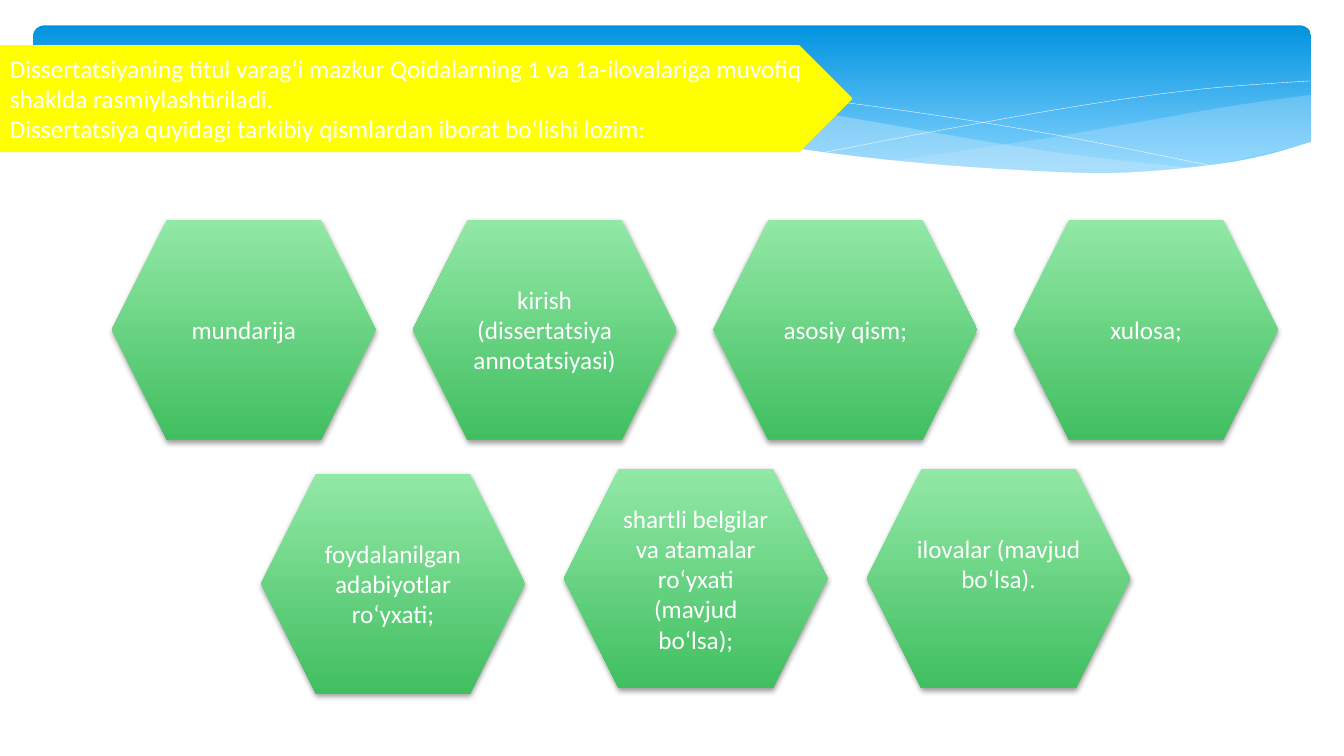
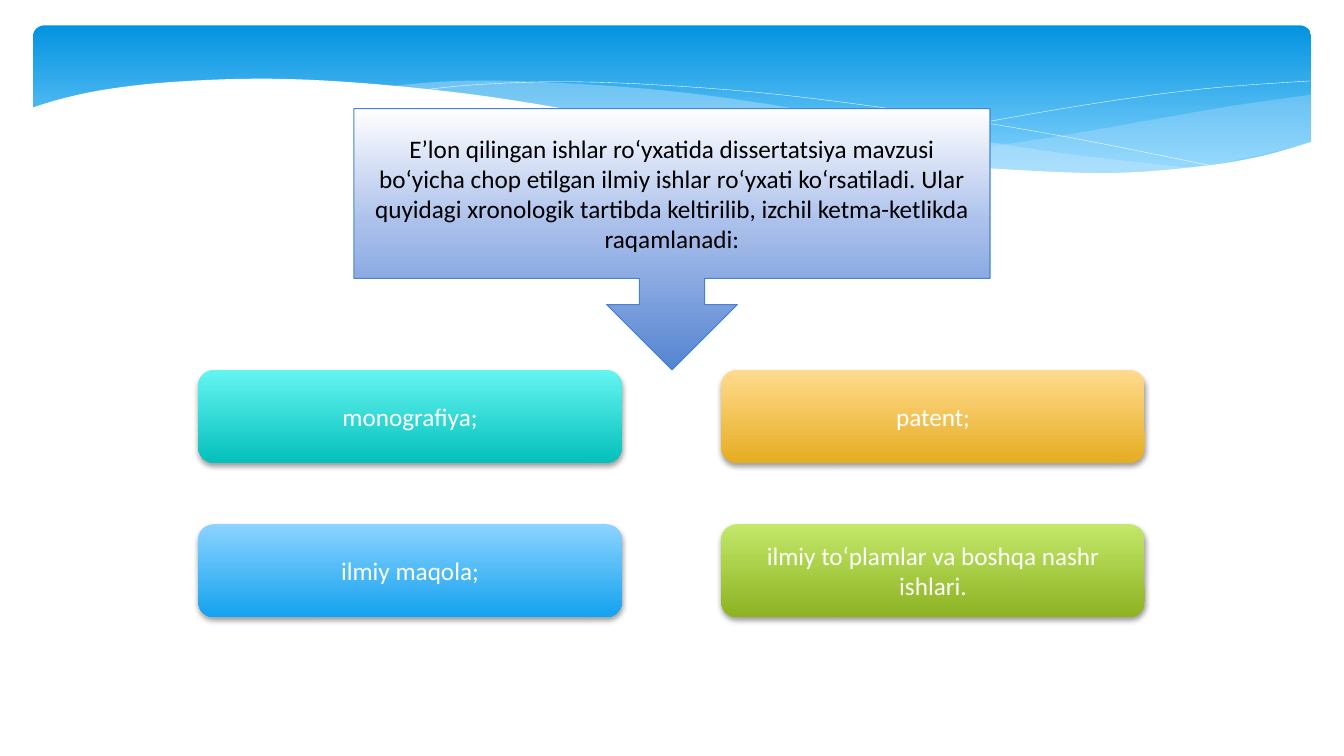
from lxml import etree
from pptx import Presentation
from pptx import util as u
from pptx.dml.color import RGBColor
from pptx.enum import shapes, text
from pptx.oxml import ns

Cm = u.Cm
FONT = "Calibri"
COLORS = {
    "white": "FFFFFF", "black": "000000", "yellow": "FFFF00", "mist": "C6E7FC", "outline": "4584D3",
}
GRADIENTS = {
    "band": [(0, "0293E0"), (90, "83D3FE")],
    "callout": [(0, "FFFFFF"), (44, "ABC0EB"), (100, "5484D1")],
    "green": [(0, "92E8A6"), (100, "41BF60")],
    "teal": [(0, "65F5F1"), (100, "04C0BB")],
    "amber": [(0, "FFDB8E"), (100, "E6AD22")],
    "sky": [(0, "8CD3FF"), (100, "14A2EF")],
    "lime": [(0, "C3E86A"), (100, "8DB222")],
}
BAND_BOX = (0.84, 0.64, 32.2, 3.96)

# Wave edges in cm from the corner of the band; each edge is a smooth curve.
RIGHT_MIST = [
    [(32.21, 1.75), (30.33, 2.01), (28.3, 2.36), (25.53, 2.84), (21.56, 3.43)],
    [(21.56, 3.43), (23.95, 3.63), (26.72, 3.73), (29.29, 3.58), (32.21, 2.97)],
]
LONG_MIST = [
    [(29.39, 3.61), (25.43, 3.15), (20.47, 2.31), (17.48, 1.83), (14.88, 1.55),
     (12.01, 1.4), (10.26, 1.42), (8.86, 1.55)],
    [(8.86, 1.55), (11.43, 1.83), (14.38, 2.31), (18.34, 3), (21.69, 3.45),
     (24.51, 3.68), (26.85, 3.76), (29.39, 3.61)],
]
FALLING_LINE = [
    [(9.63, 1.65), (11.1, 1.5), (13.26, 1.42), (15.72, 1.5), (18.85, 1.75),
     (22.71, 2.26), (26.09, 2.82), (29.9, 3.58)],
]
RISING_LINE = [[(19.94, 3.2), (22.71, 2.67), (26.47, 2.01), (29.49, 1.6), (32.18, 1.4)]]
WHITE_WAVE = [
    [(32.26, 2.92), (31.01, 3.28), (29.59, 3.53), (27.51, 3.71), (25.5, 3.68), (22.48, 3.48),
     (19.58, 3.15), (16.21, 2.62), (14.3, 2.26), (11.51, 1.8), (9.07, 1.52), (6.93, 1.37),
     (5.13, 1.35), (3.18, 1.45), (1.73, 1.63), (0.71, 1.85), (-0.05, 2.08)],
    [(-0.05, 5.05), (32.26, 5.05)],
]


def rgb(name):
    """Return the named colour."""
    return RGBColor.from_string(COLORS[name])


def add_xml(parent, tag, **attributes):
    """Append a drawing element with its attributes."""
    values = {key: str(value) for key, value in attributes.items()}
    return etree.SubElement(parent, ns.qn(f"a:{tag}"), values)


def paint(shape, fill=None, gradient=None, alpha=None, line=None, width=0.25, shadow=False):
    """Set fill, outline and shadow of a shape."""
    shape.shadow.inherit = False
    properties = shape._element.spPr
    if gradient:
        shape.fill.gradient()
        shape.fill.gradient_angle = 270
        stops = properties.find(".//" + ns.qn("a:gsLst"))
        for stop in list(stops):
            stops.remove(stop)
        for position, color in GRADIENTS[gradient]:
            add_xml(add_xml(stops, "gs", pos=position * 1000), "srgbClr", val=color)
    elif fill:
        shape.fill.solid()
        shape.fill.fore_color.rgb = rgb(fill)
        if alpha:
            add_xml(properties.find(".//" + ns.qn("a:srgbClr")), "alpha", val=alpha * 1000)
    else:
        shape.fill.background()
    if line:
        shape.line.color.rgb = rgb(line)
        shape.line.width = u.Pt(width)
    else:
        shape.line.fill.background()
    if shadow:
        outer = add_xml(properties.find(ns.qn("a:effectLst")), "outerShdw", blurRad=u.Pt(4),
                        dist=u.Pt(2), dir=5400000, rotWithShape=0)
        add_xml(add_xml(outer, "srgbClr", val=COLORS["black"]), "alpha", val=38000)


def write(shape, content, size=18, color="white", align="CENTER", bottom=0.13):
    """Write text into a shape, one paragraph a line."""
    frame = shape.text_frame
    frame.word_wrap = True
    frame.vertical_anchor = text.MSO_ANCHOR.MIDDLE
    frame.margin_bottom = Cm(bottom)
    frame.text = content
    for paragraph in frame.paragraphs:
        paragraph.alignment = text.PP_ALIGN[align]
        font = paragraph.font
        font.name, font.size, font.color.rgb = FONT, u.Pt(size), rgb(color)


def add_panel(slide, kind, box, **look):
    """Add a painted preset shape in a box given in cm."""
    panel = slide.shapes.add_shape(shapes.MSO_SHAPE[kind], *map(Cm, box))
    paint(panel, **look)
    return panel


def smooth(knots, steps=5):
    """Return points on a Catmull-Rom curve through the knots."""
    padded = [knots[0], *knots, knots[-1]]
    points = [knots[0]]
    for a, b, c, d in zip(padded, padded[1:], padded[2:], padded[3:]):
        for step in range(1, steps + 1):
            t = step / steps
            points.append(tuple(
                (2 * q + (r - p) * t + (2 * p - 5 * q + 4 * r - s) * t ** 2
                 + (3 * q - p - 3 * r + s) * t ** 3) / 2
                for p, q, r, s in zip(a, b, c, d)))
    return points


def add_wave(slide, box, edges, closed=True, **look):
    """Add an outline of smooth edges, measured from the corner of the box."""
    left, top = box[:2]
    points = [(Cm(left + x), Cm(top + y)) for edge in edges for x, y in smooth(edge)]
    builder = slide.shapes.build_freeform(*points[0])
    builder.add_line_segments(points[1:], close=closed)
    paint(builder.convert_to_shape(), **look)


def add_band(slide, box):
    """Draw the blue band with its waves."""
    band = add_panel(slide, "ROUNDED_RECTANGLE", box, gradient="band")
    band.adjustments[0] = 0.07
    add_wave(slide, box, RIGHT_MIST, fill="mist", alpha=29)
    add_wave(slide, box, LONG_MIST, fill="mist", alpha=40)
    for thread in (FALLING_LINE, RISING_LINE):
        add_wave(slide, box, thread, closed=False, line="white")
    add_wave(slide, box, WHITE_WAVE, fill="white")


def add_heading(slide, box, content):
    """Draw the yellow heading arrow."""
    heading = add_panel(slide, "PENTAGON", box, fill="yellow", line="yellow", width=1.25)
    write(heading, content, align="LEFT")


def add_hexagons(slide, box, parts, pitch):
    """Draw a row of hexagons; each part is a label, a drop and a bottom inset."""
    left, top, width, height = box
    for column, (label, drop, bottom) in enumerate(parts):
        hexagon = add_panel(slide, "HEXAGON", (left + column * pitch, top + drop, width, height),
                            gradient="green", shadow=True)
        write(hexagon, label, bottom=bottom)


def add_callout(slide, box, content):
    """Draw the introduction with its arrow down."""
    callout = add_panel(slide, "DOWN_ARROW_CALLOUT", box, gradient="callout",
                        line="outline", width=0.75)
    write(callout, content, color="black")


def add_works(slide, box, works, size=(10.67, 2.34), columns=2):
    """Spread the kinds of work over a grid that fills the box."""
    left, top, width, height = box
    rows = len(works) // columns
    across = (width - size[0]) / (columns - 1)
    down = (height - size[1]) / (rows - 1)
    for index, (label, gradient) in enumerate(works):
        row, column = divmod(index, columns)
        work = add_panel(slide, "ROUNDED_RECTANGLE",
                         (left + column * across, top + row * down, *size),
                         gradient=gradient, shadow=True)
        write(work, label)


def new_slide(deck):
    """Add a blank slide with the shared band."""
    slide = deck.slides.add_slide(deck.slide_layouts[6])
    add_band(slide, BAND_BOX)
    return slide


def structure_slide(deck):
    """Build the slide on the parts of a dissertation."""
    slide = new_slide(deck)
    add_heading(slide, (0, 1.16, 21.46, 2.65),
                "Dissertatsiyaning titul varag‘i mazkur Qoidalarning 1 va 1a-ilovalariga "
                "muvofiq shaklda rasmiylashtiriladi.\n"
                "Dissertatsiya quyidagi tarkibiy qismlardan iborat bo‘lishi lozim:")
    upper = ["mundarija", "kirish (dissertatsiya annotatsiyasi)", "asosiy qism;", "xulosa;"]
    lower = [("foydalanilgan adabiyotlar ro‘yxati;", 0.13, 0.13),
             ("shartli belgilar va atamalar ro‘yxati (mavjud bo‘lsa);", 0, 0.13),
             ("ilovalar (mavjud bo‘lsa).", 0, 0.9)]
    add_hexagons(slide, (2.82, 5.54, 6.65, 5.54), [(label, 0, 0.13) for label in upper], 7.58)
    add_hexagons(slide, (6.58, 11.81, 6.65, 5.54), lower, 7.63)


def works_slide(deck):
    """Build the slide on the order of published works."""
    slide = new_slide(deck)
    add_callout(slide, (8.92, 2.74, 16.03, 6.58),
                "E’lon qilingan ishlar ro‘yxatida dissertatsiya mavzusi bo‘yicha chop etilgan "
                "ilmiy ishlar ro‘yxati ko‘rsatiladi. Ular quyidagi xronologik tartibda "
                "keltirilib, izchil ketma-ketlikda raqamlanadi:")
    add_works(slide, (5, 9.32, 23.85, 6.23), [
        ("monografiya;", "teal"), ("patent;", "amber"), ("ilmiy maqola;", "sky"),
        ("ilmiy to‘plamlar va boshqa nashr ishlari.", "lime")])


deck = Presentation()
deck.slide_width, deck.slide_height = Cm(33.87), Cm(19.05)
structure_slide(deck)
works_slide(deck)
deck.save("out.pptx")
